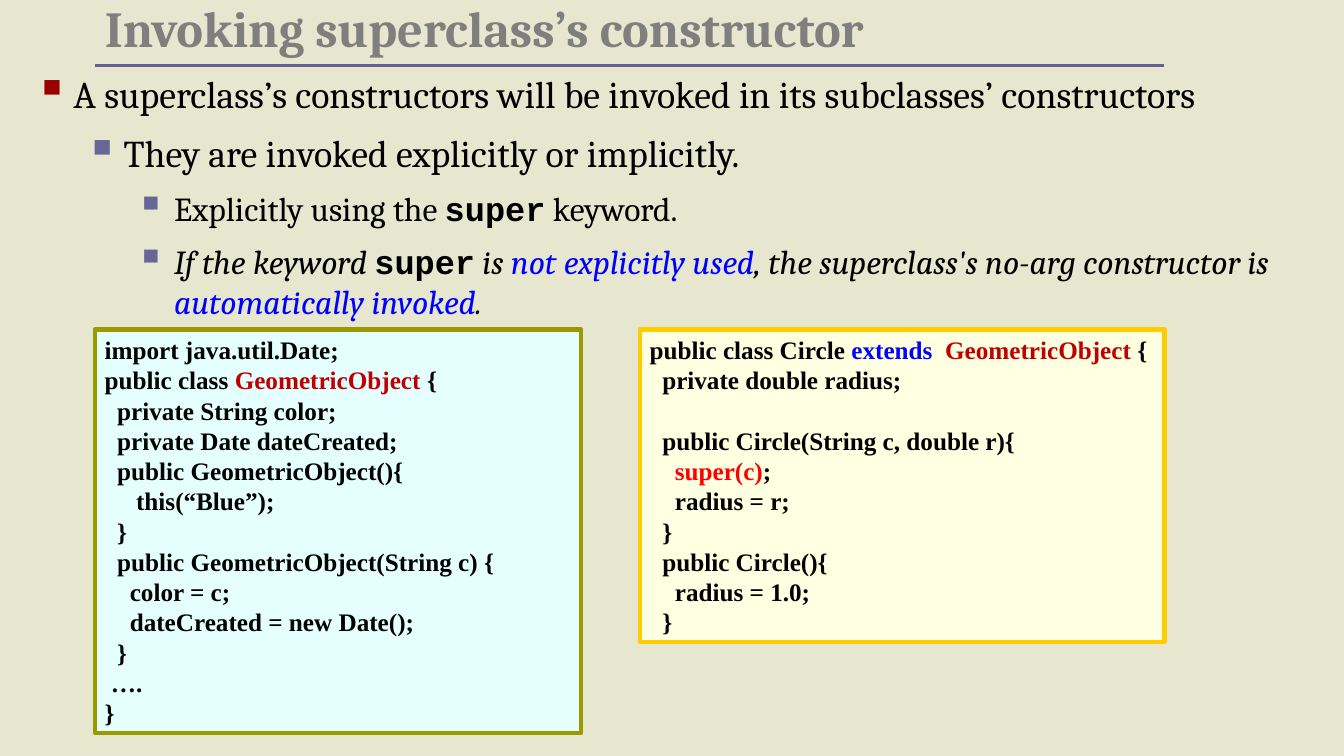
from dataclasses import dataclass

from lxml.etree import SubElement
from pptx import Presentation
from pptx.dml.color import RGBColor
from pptx.enum.shapes import MSO_CONNECTOR, MSO_SHAPE
from pptx.enum.text import MSO_ANCHOR, MSO_AUTO_SIZE, PP_ALIGN
from pptx.oxml.ns import qn
from pptx.util import Inches, Pt

COLORS = {
    "background": "E7E7CF", "title": "7F7F7F", "rule": "626297", "text": "000000",
    "bullet_top": "990000", "bullet_sub": "666699", "blue": "0000FF",
    "class_name": "C00000", "super_call": "FF0000",
    "parent_fill": "E5FFFF", "parent_line": "999900",
    "child_fill": "FFFFE1", "child_line": "FFCC00",
}
PROSE, MONO, CODE = "Cambria", "Courier New", "Times New Roman"
CODE_PITCH = Pt(21.6)
CODE_SPACE = Pt(4.5)  # width of one space in the code font


@dataclass(frozen=True)
class Span:
    """A stretch of text with its own format."""
    text: str
    color: str = "text"
    italic: bool = False
    mono: bool = False


@dataclass(frozen=True)
class Point:
    """A bulleted paragraph."""
    level: int
    size: float
    before: float
    spans: tuple[Span, ...]


@dataclass(frozen=True)
class CodeLine:
    """A line of code, indented by a number of spaces."""
    indent: int
    spans: tuple[Span, ...]
    gap_before: bool = False


@dataclass(frozen=True)
class Listing:
    """A framed block of code."""
    left: float
    width: float
    height: float
    role: str
    lines: tuple[CodeLine, ...]


def line(indent: int, text: str, gap_before: bool = False) -> CodeLine:
    """Return a code line in a single colour."""
    return CodeLine(indent, (Span(text),), gap_before)


def rgb(name: str) -> RGBColor:
    """Look up a named colour."""
    return RGBColor.from_string(COLORS[name])


def add_text(paragraph, text: str, *, size: float, font: str, color: str = "text",
             bold: bool = False, italic: bool = False) -> None:
    """Append a formatted run to a paragraph."""
    run = paragraph.add_run()
    run.text = text
    run.font.size, run.font.name = Pt(size), font
    run.font.bold, run.font.italic = bold, italic
    run.font.color.rgb = rgb(color)


def next_paragraph(frame, index: int):
    """Return the first paragraph, or a new one after it."""
    return frame.paragraphs[0] if index == 0 else frame.add_paragraph()


def add_bullet(paragraph, level: int) -> None:
    """Give a paragraph a hanging square bullet for its level."""
    properties = paragraph._p.get_or_add_pPr()
    properties.set("marL", str(Inches(0.38 + 0.5 * level)))
    properties.set("indent", str(-Inches(0.38)))
    color = SubElement(properties, qn("a:buClr"))
    name = "bullet_sub" if level else "bullet_top"
    SubElement(color, qn("a:srgbClr"), val=COLORS[name])
    SubElement(properties, qn("a:buSzPct"), val="120000")
    SubElement(properties, qn("a:buChar"), char="▪")


def add_title(slide, text: str) -> None:
    """Place the heading and the rule below it."""
    title = slide.shapes.title
    title.left, title.top = Inches(0.94), Inches(0)
    title.width, title.height = Inches(9.27), Inches(0.65)
    frame = title.text_frame
    frame.auto_size, frame.vertical_anchor = MSO_AUTO_SIZE.NONE, MSO_ANCHOR.MIDDLE
    heading = frame.paragraphs[0]
    heading.alignment, heading.line_spacing = PP_ALIGN.LEFT, 0.8
    add_text(heading, text, size=36, font=PROSE, color="title", bold=True)

    rule = slide.shapes.add_connector(MSO_CONNECTOR.STRAIGHT, Inches(0.94), Inches(0.65),
                                      Inches(11.55), Inches(0.65))
    rule.line.color.rgb, rule.line.width = rgb("rule"), Pt(2.24)
    SubElement(rule._element.spPr, qn("a:effectLst"))


def add_points(slide, points: tuple[Point, ...]) -> None:
    """Draw the bulleted explanation."""
    explanation = slide.shapes.add_textbox(Inches(0.25), Inches(0.65), Inches(12.5), Inches(2.59))
    frame = explanation.text_frame
    frame.word_wrap = True
    for index, point in enumerate(points):
        paragraph = next_paragraph(frame, index)
        paragraph.level, paragraph.space_before = point.level, Pt(point.before)
        add_bullet(paragraph, point.level)
        for span in point.spans:
            add_text(paragraph, span.text, size=point.size, font=MONO if span.mono else PROSE,
                     color=span.color, bold=span.mono, italic=span.italic)


def add_listing(slide, listing: Listing) -> None:
    """Draw a framed block of code."""
    panel = slide.shapes.add_shape(MSO_SHAPE.RECTANGLE, Inches(listing.left), Inches(3.27),
                                   Inches(listing.width), Inches(listing.height))
    panel.shadow.inherit = False
    panel.fill.solid()
    panel.fill.fore_color.rgb = rgb(f"{listing.role}_fill")
    panel.line.color.rgb, panel.line.width = rgb(f"{listing.role}_line"), Pt(3)
    frame = panel.text_frame
    frame.word_wrap, frame.vertical_anchor = True, MSO_ANCHOR.TOP
    for index, code in enumerate(listing.lines):
        paragraph = next_paragraph(frame, index)
        paragraph.alignment, paragraph.line_spacing = PP_ALIGN.LEFT, CODE_PITCH
        if code.gap_before:
            paragraph.space_before = CODE_PITCH
        paragraph._p.get_or_add_pPr().set("marL", str(code.indent * CODE_SPACE))
        for span in code.spans:
            add_text(paragraph, span.text, size=18, font=CODE, color=span.color, bold=True)


POINTS = (
    Point(0, 27, 10.1, (
        Span("A superclass’s constructors will be invoked in its subclasses’ constructors"),)),
    Point(1, 27, 10.1, (Span("They are invoked explicitly or implicitly."),)),
    Point(2, 24, 9, (Span("Explicitly using the "), Span("super", mono=True), Span(" keyword."))),
    Point(2, 24, 9, (
        Span("If the keyword ", italic=True), Span("super", mono=True), Span(" is ", italic=True),
        Span("not explicitly used", "blue", italic=True),
        Span(", the superclass's no-arg constructor is ", italic=True),
        Span("automatically invoked", "blue", italic=True), Span(".", italic=True))),
)
LISTINGS = (
    Listing(0.94, 4.83, 4, "parent", (
        line(0, "import java.util.Date;"),
        CodeLine(0, (Span("public class "), Span("GeometricObject", "class_name"), Span(" {"))),
        line(2, "private String color;"),
        line(2, "private Date dateCreated;"),
        line(2, "public GeometricObject(){"),
        line(5, "this(“Blue”);"),
        line(2, "}"),
        line(2, "public GeometricObject(String c) {"),
        line(4, "color = c;"),
        line(4, "dateCreated = new Date();"),
        line(2, "}"),
        line(1, "…."),
        line(0, "}"))),
    Listing(6.35, 5.21, 3.1, "child", (
        CodeLine(0, (Span("public class Circle "), Span("extends", "blue"),
                     Span("  GeometricObject ", "class_name"), Span("{"))),
        line(2, "private double radius;"),
        line(2, "public Circle(String c, double r){", gap_before=True),
        CodeLine(4, (Span("super(c)", "super_call"), Span(";"))),
        line(4, "radius = r;"),
        line(2, "}"),
        line(2, "public Circle(){"),
        line(4, "radius = 1.0;"),
        line(2, "}"))),
)

deck = Presentation()
deck.slide_width, deck.slide_height = Inches(13.34), Inches(7.5)
lesson = deck.slides.add_slide(deck.slide_layouts.get_by_name("Title Only"))
lesson.background.fill.solid()
lesson.background.fill.fore_color.rgb = rgb("background")
add_title(lesson, "Invoking superclass’s constructor")
add_points(lesson, POINTS)
for code_listing in LISTINGS:
    add_listing(lesson, code_listing)
deck.save("out.pptx")
